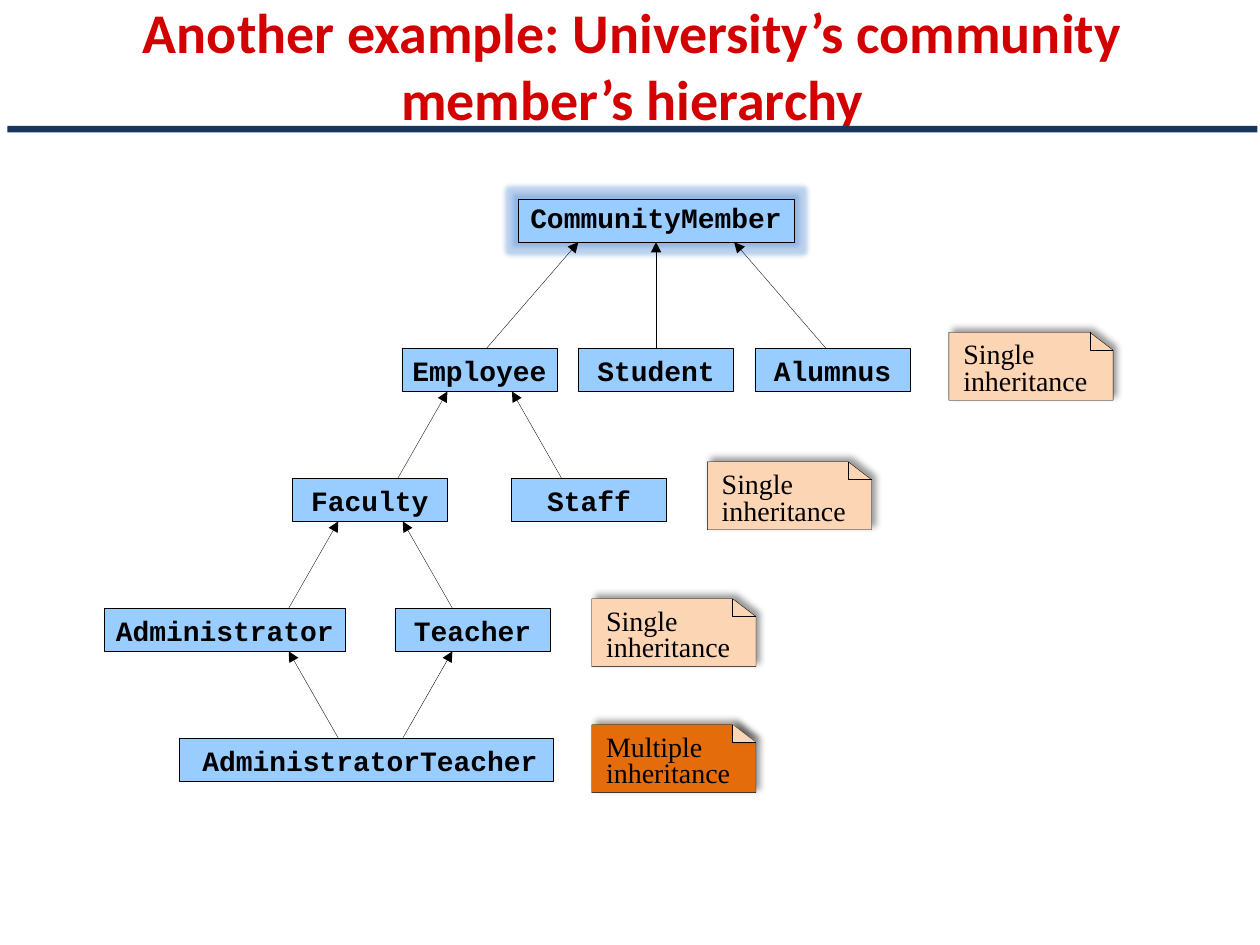
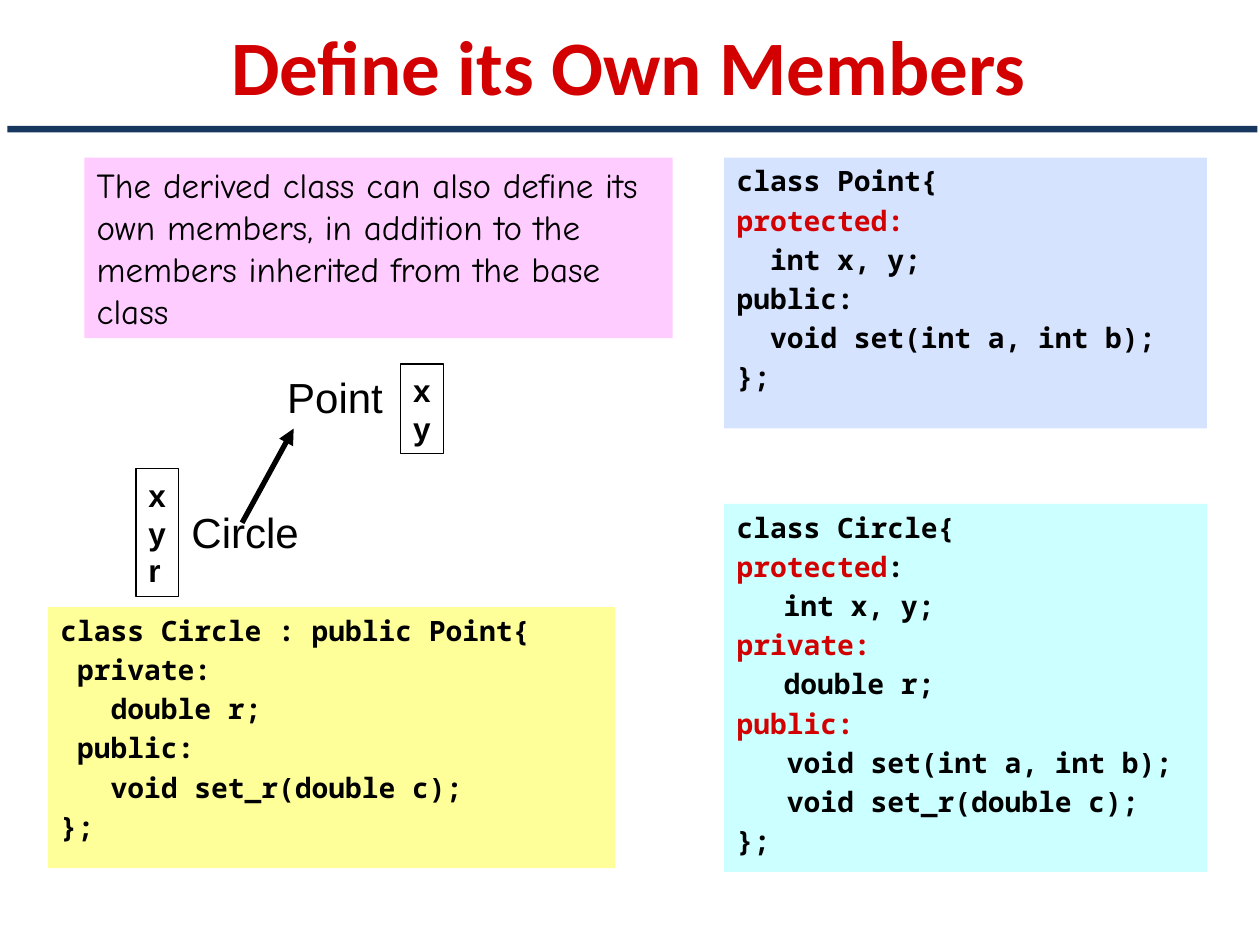
from lxml import etree
from pptx import Presentation
from pptx.dml.color import RGBColor
from pptx.enum import shapes, text
from pptx.oxml import ns, parse_xml
from pptx.util import Cm, Pt

RED = RGBColor(0xD2, 0x00, 0x00)
NAVY = RGBColor(0x17, 0x37, 0x5E)
BLACK = RGBColor(0x00, 0x00, 0x00)
WHITE = RGBColor(0xFF, 0xFF, 0xFF)
SKY = RGBColor(0x99, 0xCC, 0xFF)
PEACH = RGBColor(0xFC, 0xD5, 0xB5)
ORANGE = RGBColor(0xE4, 0x6C, 0x0A)
PINK = RGBColor(0xFF, 0xCC, 0xFF)
PALE_BLUE = RGBColor(0xD5, 0xE3, 0xFF)
YELLOW = RGBColor(0xFF, 0xFF, 0x99)
CYAN = RGBColor(0xCC, 0xFF, 0xFF)

GLOW = (f'<a:glow {ns.nsdecls("a")} rad="63500"><a:srgbClr val="558ED5">'
        '<a:alpha val="40000"/></a:srgbClr></a:glow>')
NOTE_SHADOW = (f'<a:outerShdw {ns.nsdecls("a")} blurRad="50800" dist="38100" dir="18900000" '
               'algn="bl" rotWithShape="0"><a:srgbClr val="000000">'
               '<a:alpha val="40000"/></a:srgbClr></a:outerShdw>')


def write(paragraph, words, size, font, color=BLACK, bold=False):
    run = paragraph.add_run()
    run.text = words
    run.font.size, run.font.name, run.font.bold = Pt(size), font, bold
    run.font.color.rgb = color


def add_box(slide, left, top, width, height, fill=None, line=None):
    box = slide.shapes.add_shape(shapes.MSO_SHAPE.RECTANGLE,
                                 Cm(left), Cm(top), Cm(width), Cm(height))
    box.shadow.inherit = False
    if fill is None:
        box.fill.background()
    else:
        box.fill.solid()
        box.fill.fore_color.rgb = fill
    if line is None:
        box.line.fill.background()
    else:
        box.line.width = Pt(line)
        box.line.color.rgb = BLACK
    box.text_frame.word_wrap = True
    box.text_frame.vertical_anchor = text.MSO_ANCHOR.TOP
    box.text_frame.paragraphs[0].alignment = text.PP_ALIGN.LEFT
    return box


prs = Presentation()
prs.slide_width, prs.slide_height = Cm(25.4), Cm(19.05)

# Titles and the band below them
slides = []
for words, size, frame in [
    ("Another example: University’s community member’s hierarchy", 32, (0.15, 0.1, 25.2, 2.39)),
    ("Define its Own Members", 44, (0, 0, 25.35, 2.62)),
]:
    slide = prs.slides.add_slide(prs.slide_layouts[5])
    title = slide.shapes.title
    title.left, title.top, title.width, title.height = [Cm(n) for n in frame]
    title.fill.solid()
    title.fill.fore_color.rgb = WHITE
    title.text_frame.auto_size = text.MSO_AUTO_SIZE.NONE
    title.text_frame.vertical_anchor = text.MSO_ANCHOR.MIDDLE
    heading = title.text_frame.paragraphs[0]
    heading.alignment = text.PP_ALIGN.CENTER
    write(heading, words, size, "Calibri", RED, True)
    add_box(slide, 0.15, 2.54, 25.2, 0.13, NAVY)
    slides.append(slide)
hierarchy, members = slides
arrows = []

# Class boxes: name, left, row, width
ROW_TOPS = [4.01] + [7.02 + 2.62 * row for row in range(4)]
BOX_HEIGHT = 0.87
classes = {}
for name, left, row, width in [
    ("CommunityMember", 10.44, 0, 5.57),
    ("Employee", 8.1, 1, 3.13),
    ("Student", 11.66, 1, 3.13),
    ("Alumnus", 15.22, 1, 3.13),
    ("Faculty", 5.89, 2, 3.13),
    ("Staff", 10.31, 2, 3.13),
    ("Administrator", 2.11, 3, 4.85),
    ("Teacher", 7.96, 3, 3.13),
    ("AdministratorTeacher", 3.61, 4, 7.55),
]:
    box = add_box(hierarchy, left, ROW_TOPS[row], width, BOX_HEIGHT, SKY, 0.2)
    frame = box.text_frame
    frame.word_wrap = False
    frame.vertical_anchor = text.MSO_ANCHOR.MIDDLE
    frame.margin_left = Cm(0.15 if row == 4 else 0)
    frame.margin_right = frame.margin_bottom = 0
    frame.margin_top = Cm(0.15 if row else 0)
    label = frame.paragraphs[0]
    label.alignment = text.PP_ALIGN.CENTER
    label.line_spacing = 0.8
    write(label, name, 16, "Courier New", bold=True)
    classes[name] = box
root_effects = classes["CommunityMember"]._element.spPr.find(ns.qn("a:effectLst"))
root_effects.append(parse_xml(GLOW))

# Inheritance arrows: child, x at its top, parent, x at its bottom
for child, start_x, parent, end_x in [
    ("Employee", 9.81, "CommunityMember", 11.66),
    ("Student", 13.23, "CommunityMember", 13.23),
    ("Alumnus", 16.65, "CommunityMember", 14.8),
    ("Faculty", 8.02, "Employee", 9.02),
    ("Staff", 11.32, "Employee", 10.32),
    ("Administrator", 5.82, "Faculty", 6.82),
    ("Teacher", 9.12, "Faculty", 8.12),
    ("AdministratorTeacher", 6.82, "Administrator", 5.82),
    ("AdministratorTeacher", 8.12, "Teacher", 9.12),
]:
    lower, upper = classes[child], classes[parent]
    arrow = hierarchy.shapes.add_connector(shapes.MSO_CONNECTOR.STRAIGHT, Cm(start_x), lower.top,
                                           Cm(end_x), upper.top + upper.height)
    if start_x == end_x:
        arrow.begin_connect(lower, 0)
        arrow.end_connect(upper, 2)
    arrows.append((arrow, 0.2))

# Notes with a folded corner
NOTE_W, NOTE_H, FOLD_W, FOLD_H = 3.31, 1.37, 0.47, 0.36
for words, left, top, color in [
    ("Single inheritance", 19.13, 6.7, PEACH),
    ("Single inheritance", 14.26, 9.31, PEACH),
    ("Single inheritance", 11.93, 12.07, PEACH),
    ("Multiple inheritance", 11.93, 14.61, ORANGE),
]:
    right, bottom = left + NOTE_W, top + NOTE_H
    crease = [(right - FOLD_W, top), (right, top + FOLD_H)]
    page = crease + [(right, bottom), (left, bottom), (left, top)]
    fold = [crease[1], (right - FOLD_W, top + FOLD_H), crease[0]]
    fold_fill = PEACH if color == ORANGE else None
    for outline, closed, fill in [(page, True, color), (fold, False, fold_fill)]:
        points = [(Cm(x), Cm(y)) for x, y in outline]
        builder = hierarchy.shapes.build_freeform(*points[0])
        builder.add_line_segments(points[1:], close=closed)
        part = builder.convert_to_shape()
        part.line.width = Pt(0.2)
        part.line.color.rgb = BLACK
        part.shadow.inherit = False
        if fill is None:
            part.fill.background()
        else:
            part.fill.solid()
            part.fill.fore_color.rgb = fill
            part._element.spPr.find(ns.qn("a:effectLst")).append(parse_xml(NOTE_SHADOW))
        if closed:
            frame = part.text_frame
            frame.word_wrap = True
            frame.vertical_anchor = text.MSO_ANCHOR.TOP
            frame.margin_left = frame.margin_right = Cm(0.29)
            frame.margin_top, frame.margin_bottom = Cm(0.22), 0
            remark = frame.paragraphs[0]
            remark.alignment = text.PP_ALIGN.LEFT
            remark.line_spacing = 0.8
            write(remark, words, 16, "Times New Roman")

# Statement about derived classes
statement = add_box(members, 1.7, 3.18, 11.86, 3.64, PINK)
write(statement.text_frame.paragraphs[0],
      "The derived class can also define its own members, in addition to the members "
      "inherited from the base class", 20, "Comic Neue")

# Point and Circle with their attributes
for name, left, top, width in [("Point", 5.54, 7.37, 2.46), ("Circle", 3.61, 10.08, 2.69)]:
    label = members.shapes.add_textbox(Cm(left), Cm(top), Cm(width), Cm(1.27))
    label.text_frame.word_wrap = False
    write(label.text_frame.paragraphs[0], name, 24, "Arial")

for attributes, left, top, height in [("xy", 8.08, 7.34, 1.8), ("xyr", 2.74, 9.45, 2.57)]:
    frame = add_box(members, left, top, 0.86, height, line=0.75).text_frame
    frame.word_wrap = False
    frame.vertical_anchor = text.MSO_ANCHOR.MIDDLE
    for i, attribute in enumerate(attributes):
        line = frame.add_paragraph() if i else frame.paragraphs[0]
        line.alignment = text.PP_ALIGN.LEFT
        write(line, attribute, 18, "Arial", bold=True)

derives = members.shapes.add_connector(shapes.MSO_CONNECTOR.STRAIGHT,
                                       Cm(4.88), Cm(10.54), Cm(5.92), Cm(8.64))
arrows.append((derives, 3))

# Code panels: each line is a list of runs, red ones start with the marker
MARK = "@"
point_code = [["class Point{"], ["@protected:"], ["  int x, y;"], ["public:"],
              ["  void set(int a, int b);"], ["};"]]
derived_code = [["class Circle : public Point{"], [" private:"], ["   double r;"], [" public:"],
                ["   void set_r(double c);"], ["};"]]
circle_code = [["class Circle{"], ["@protected", ":"], ["\tint x, y;"], ["@private:"],
               ["\tdouble r;"], ["@public:"], ["   void set(int a, int b);"],
               ["   void set_r(double c);"], ["};"]]
for code, place, fill in [
    (point_code, (14.6, 3.18, 9.73, 5.46), PALE_BLUE),
    (derived_code, (0.97, 12.24, 11.43, 5.26), YELLOW),
    (circle_code, (14.6, 10.16, 9.73, 7.42), CYAN),
]:
    frame = add_box(members, *place, fill).text_frame
    for i, runs in enumerate(code):
        line = frame.add_paragraph() if i else frame.paragraphs[0]
        line.alignment = text.PP_ALIGN.LEFT
        props = line._p.get_or_add_pPr()
        props.set("marL", str(Cm(0.95)))
        props.set("indent", str(-Cm(0.95)))
        if i:
            before = etree.SubElement(props, ns.qn("a:spcBef"))
            etree.SubElement(before, ns.qn("a:spcPct")).set("val", "20000")
        for words in runs:
            color = RED if words.startswith(MARK) else BLACK
            write(line, words.lstrip(MARK), 16, "Noto Sans Mono", color, True)

# Arrow style
for arrow, width in arrows:
    arrow.line.width = Pt(width)
    arrow.line.color.rgb = BLACK
    etree.SubElement(arrow.line._get_or_add_ln(), ns.qn("a:tailEnd")).set("type", "triangle")
    etree.SubElement(arrow._element.spPr, ns.qn("a:effectLst"))

prs.save("out.pptx")
